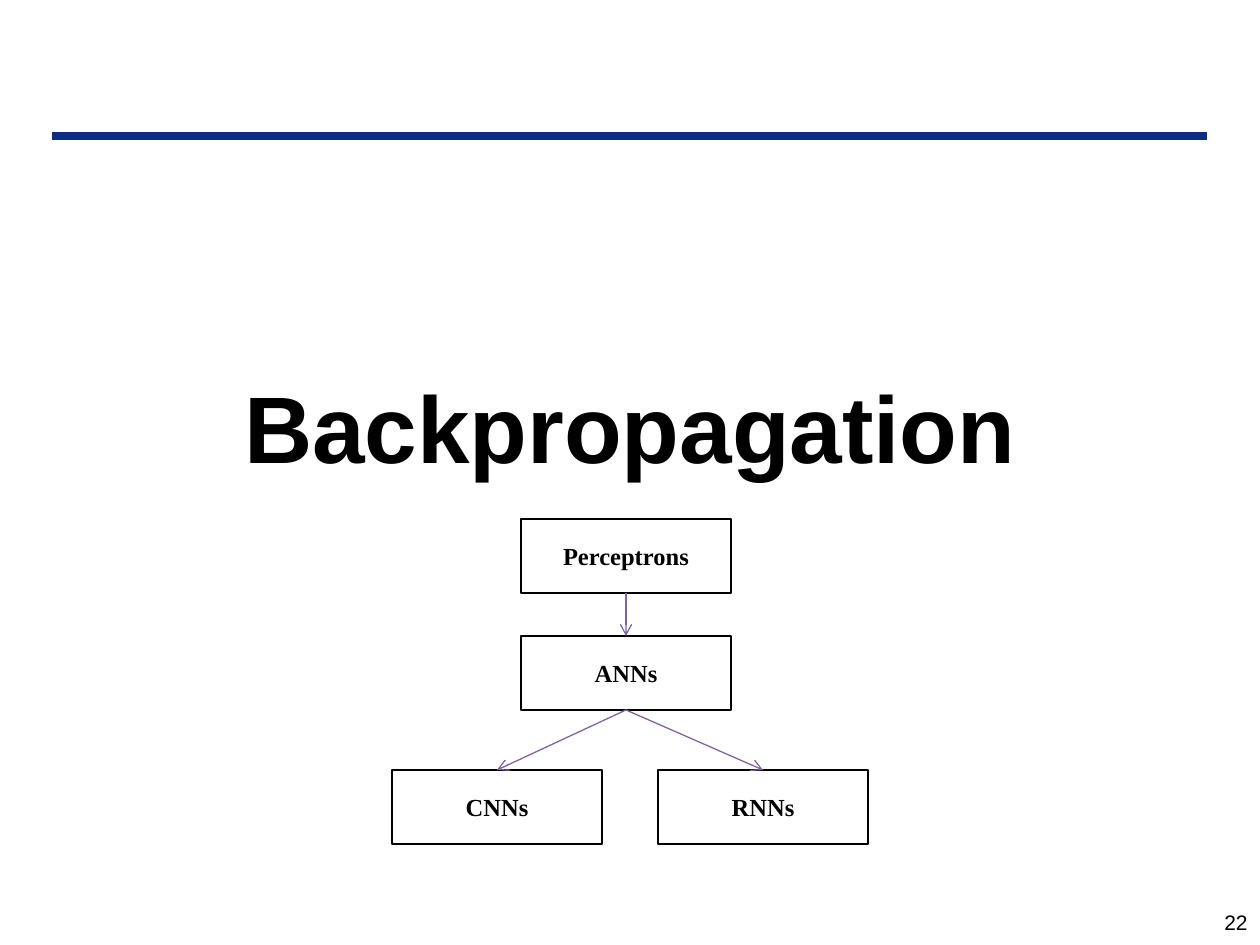
from lxml import etree
from pptx import Presentation
from pptx.dml.color import RGBColor
from pptx.enum import shapes, text
from pptx.oxml.ns import qn
from pptx.util import Emu, Pt

BLACK = RGBColor(0, 0, 0)
WHITE = RGBColor(255, 255, 255)
NAVY = RGBColor(0x0C, 0x2D, 0x83)
PURPLE = RGBColor(0x80, 0x64, 0xA2)

BOX_W, BOX_H = 210, 74
NODES = {
    "Perceptrons": (626, 519),
    "ANNs": (626, 636),
    "RNNs": (763, 770),
    "CNNs": (497, 770),
}
LINKS = [("Perceptrons", "ANNs"), ("ANNs", "CNNs"), ("ANNs", "RNNs")]
RULE = (52, 136, 1207, 136)
LABELS = [
    ("22", (1166, 903, 94, 28), 7, text.PP_ALIGN.RIGHT,
     {"name": "Arial", "size": Pt(12), "bold": False}),
    ("Backpropagation", (63, 220, 1134, 624), 149, text.PP_ALIGN.CENTER,
     {"name": "Arial", "size": Pt(54), "bold": True}),
]
NODE_FONT = {"name": "Times New Roman", "size": Pt(14), "bold": True}


def px(*nums):
    return [Emu(round(n * 914400 / 126)) for n in nums]


def write(shape, words, align, style):
    para = shape.text_frame.paragraphs[0]
    para.alignment = align
    run = para.add_run()
    run.text = words
    for key, value in style.items():
        setattr(run.font, key, value)
    run.font.color.rgb = BLACK


def label(slide, words, area, top, align, style):
    box = slide.shapes.add_textbox(*px(*area))
    frame = box.text_frame
    frame.word_wrap = True
    frame.margin_top, = px(top)
    write(box, words, align, style)


def line(slide, ends, color, width, arrow=False):
    link = slide.shapes.add_connector(shapes.MSO_CONNECTOR.STRAIGHT, *px(*ends))
    link.line.color.rgb = color
    link.line.width = Pt(width)
    props = link._element.spPr
    if arrow:
        etree.SubElement(props.find(qn("a:ln")), qn("a:tailEnd"), type="arrow")
    etree.SubElement(props, qn("a:effectLst"))


def node(slide, name, mid, top):
    area = px(mid - BOX_W / 2, top, BOX_W, BOX_H)
    box = slide.shapes.add_shape(shapes.MSO_SHAPE.RECTANGLE, *area)
    box.shadow.inherit = False
    box.fill.solid()
    box.fill.fore_color.rgb = WHITE
    box.line.color.rgb = BLACK
    box.line.width = Pt(1)
    box.text_frame.vertical_anchor = text.MSO_ANCHOR.MIDDLE
    write(box, name, text.PP_ALIGN.CENTER, NODE_FONT)


def main():
    deck = Presentation()
    deck.slide_width, deck.slide_height = px(1260, 945)
    slide = deck.slides.add_slide(deck.slide_layouts[6])
    line(slide, RULE, NAVY, 4.5)
    for item in LABELS:
        label(slide, *item)
    for name, place in NODES.items():
        node(slide, name, *place)
    for start, end in LINKS:
        mid, top = NODES[start]
        line(slide, (mid, top + BOX_H, *NODES[end]), PURPLE, 0.75, True)
    deck.save("out.pptx")


if __name__ == "__main__":
    main()
